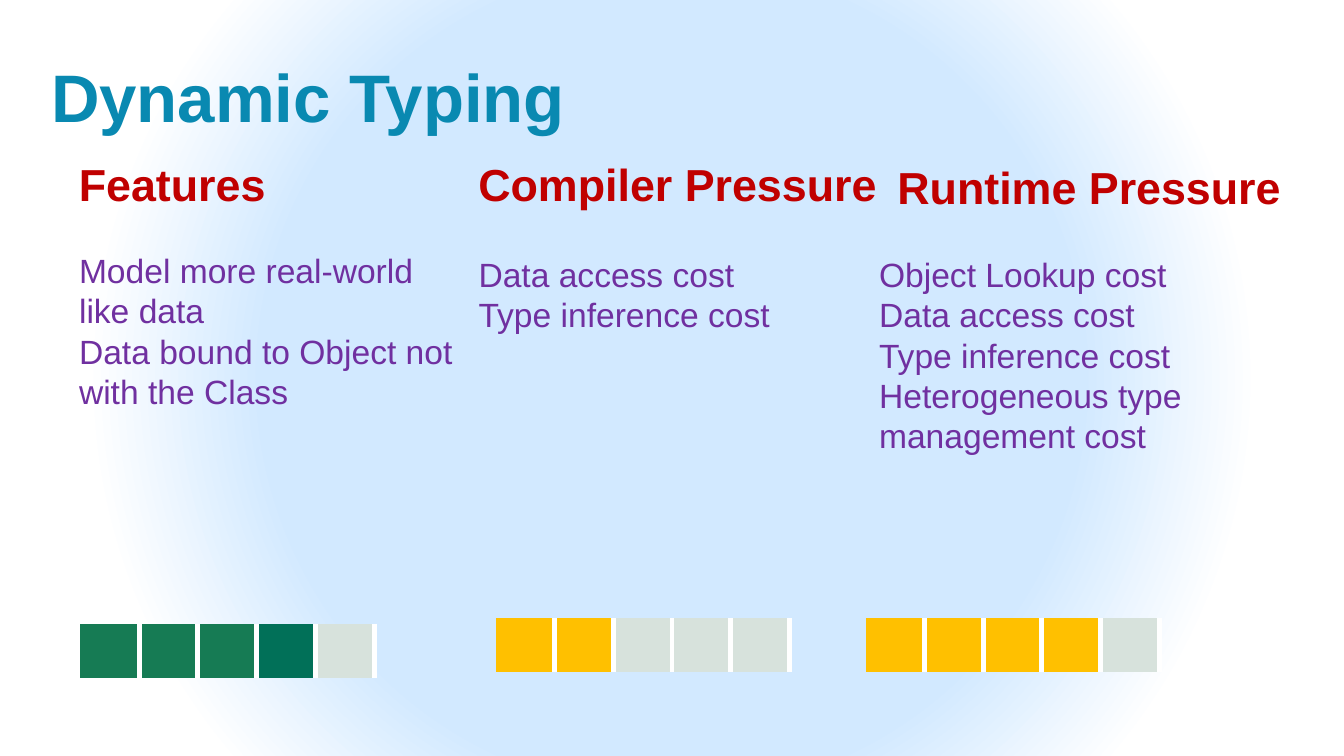
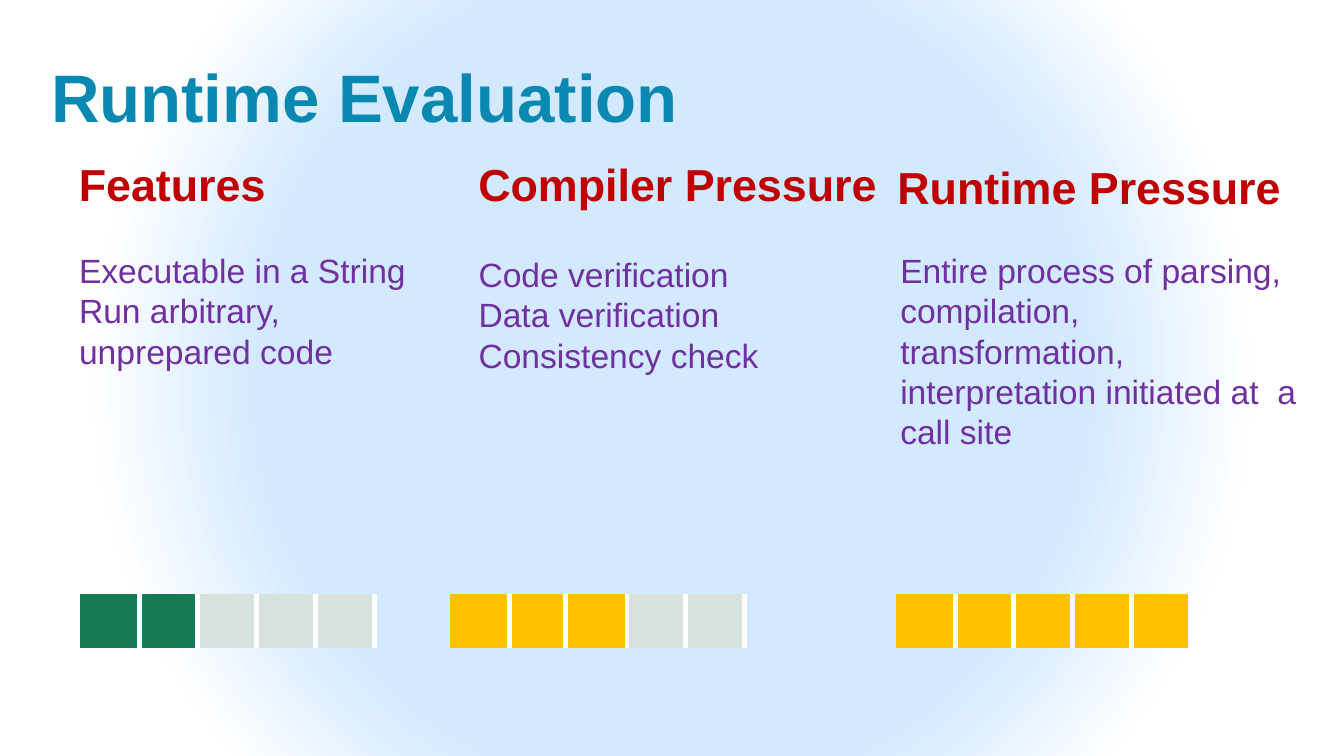
import pptx
import pptx.util
import pptx.dml.color
import pptx.enum.text
import pptx.oxml
import pptx.oxml.ns

Cm, Pt = pptx.util.Cm, pptx.util.Pt
RGB = pptx.dml.color.RGBColor.from_string
enum = pptx.enum.text

# Theme: colours and type sizes
theme = {
    "title": {"color": "0989B1", "font": {"name": "Arial", "size": Pt(36), "bold": True}},
    "head": {"color": "C00000", "font": {"name": "Arial", "size": Pt(24), "bold": True}},
    "list": {"color": "7030A0", "font": {"name": "Arial", "size": Pt(18), "bold": False}},
    "glow": [(53, "D2E9FF")] + [(stop, "FFFFFF") for stop in (76, 80, 84, 94, 96, 100)],
    "green": "167B54", "teal": "017058", "gold": "FFC000",
    "off": "D7E2DC", "edge": "FFFFFF",
}
frame_set = {"word_wrap": True, "vertical_anchor": enum.MSO_ANCHOR.TOP,
             "auto_size": enum.MSO_AUTO_SIZE.SHAPE_TO_FIT_TEXT}
para_set = {"alignment": enum.PP_ALIGN.LEFT, "space_before": Pt(0)}
table_set = {"first_row": False, "horz_banding": False}
ns = pptx.oxml.ns.nsdecls("a")
plain = "{2D5ABB26-0587-4C30-8999-92F81FD0307C}"  # table style without grid

# Shared columns
heads = [("Features", 1.24, 2.84, 7.57),
         ("Compiler Pressure", 8.79, 2.84, 8.15),
         ("Runtime Pressure", 16.71, 2.9, 8.15)]
wides = [7.67, 7.37, 8.03]
even = [1.11] * 5

# Slides: lists are (left, top, height, lines),
# meters are (left, top, lit colours, column widths)
pages = [
    {"title": "Dynamic Typing",
     "lists": [
         (1.24, 4.6, 3.33, ["Model more real-world like data",
                            "Data bound to Object not with the Class"]),
         (8.79, 4.67, 1.8, ["Data access cost", "Type inference cost"]),
         (16.36, 4.67, 4.11, ["Object Lookup cost", "Data access cost",
                              "Type inference cost",
                              "Heterogeneous type management cost"])],
     "meters": [
         (1.52, 11.79, ["green"] * 3 + ["teal"], even),
         (9.37, 11.68, ["gold"] * 2, even),
         (16.36, 11.68, ["gold"] * 4, even)]},
    {"title": "Runtime Evaluation",
     "lists": [
         (1.24, 4.6, 2.57, ["Executable in a String", "Run arbitrary, unprepared code"]),
         (8.79, 4.67, 2.57, ["Code verification", "Data verification",
                             "Consistency check"]),
         (16.76, 4.6, 4.11, ["Entire process of parsing, compilation, transformation, "
                             "interpretation initiated at  a call site"])],
     "meters": [
         (1.52, 11.23, ["green"] * 2, even),
         (8.51, 11.23, ["gold"] * 3, [1.11, 1.07, 1.16, 1.11, 1.11]),
         (16.94, 11.23, ["gold"] * 5, even)]},
]


def write(shape, box, lines, kind):
    """Place a text shape and fill it with styled lines."""
    for key, size in zip(("left", "top", "width", "height"), box):
        setattr(shape, key, Cm(size))
    frame = shape.text_frame
    for key, value in frame_set.items():
        setattr(frame, key, value)
    for num, line in enumerate(lines):
        para = frame.add_paragraph() if num else frame.paragraphs[0]
        for key, value in para_set.items():
            setattr(para, key, value)
        props = para._p.get_or_add_pPr()
        props.set("marL", "0")
        props.set("indent", "0")
        props.append(pptx.oxml.parse_xml(f"<a:buNone {ns}/>"))
        run = para.add_run()
        run.text = line
        for key, value in theme[kind]["font"].items():
            setattr(run.font, key, value)
        run.font.color.rgb = RGB(theme[kind]["color"])


def edge(cell, side):
    """Draw a thick line along one side of a cell."""
    line = (f'<a:{side} {ns} w="{Pt(3)}"><a:solidFill><a:srgbClr val="{theme["edge"]}"/>'
            f'</a:solidFill></a:{side}>')
    cell._tc.get_or_add_tcPr().insert(0, pptx.oxml.parse_xml(line))


deck = pptx.Presentation()
deck.slide_width, deck.slide_height = Cm(25.4), Cm(14.29)

# Background glow on the master
master = deck.slide_master
master.background.fill.solid()
back = master.element.xpath(".//p:bgPr")[0]
stops = "".join(f'<a:gs pos="{stop * 1000}"><a:srgbClr val="{color}"/></a:gs>'
                for stop, color in theme["glow"])
back.replace(back[0], pptx.oxml.parse_xml(
    f'<a:gradFill {ns} rotWithShape="1"><a:gsLst>{stops}</a:gsLst><a:path path="circle">'
    '<a:fillToRect l="50000" t="50000" r="50000" b="50000"/></a:path></a:gradFill>'))

for page in pages:
    slide = deck.slides.add_slide(deck.slide_layouts.get_by_name("Comparison"))
    holders = list(slide.placeholders)

    # Title
    write(holders[0], (0.71, 0.91, 24.49, 1.8), [page["title"]], "title")

    # Lists
    for holder, wide, (left, top, high, lines) in zip(holders[1:], wides, page["lists"]):
        write(holder, (left, top, wide, high), lines, "list")
    spare = holders[4].element
    spare.getparent().remove(spare)

    # Column heads
    for text, left, top, wide in heads:
        box = slide.shapes.add_textbox(0, 0, 0, 0)
        write(box, (left, top, wide, 1.27), [text], "head")

    # Pressure meters
    for left, top, lit, cols in page["meters"]:
        table = slide.shapes.add_table(1, len(cols), Cm(left), Cm(top),
                                       Cm(sum(cols)), Cm(1.02)).table
        for key, value in table_set.items():
            setattr(table, key, value)
        table._tbl.tblPr.find(pptx.oxml.ns.qn("a:tableStyleId")).text = plain
        tones = lit + ["off"] * (len(cols) - len(lit))
        for num, (wide, tone) in enumerate(zip(cols, tones)):
            table.columns[num].width = Cm(wide)
            cell = table.cell(0, num)
            cell.fill.solid()
            cell.fill.fore_color.rgb = RGB(theme[tone])
            edge(cell, "lnR")
            if num:
                edge(cell, "lnL")

deck.save("out.pptx")
